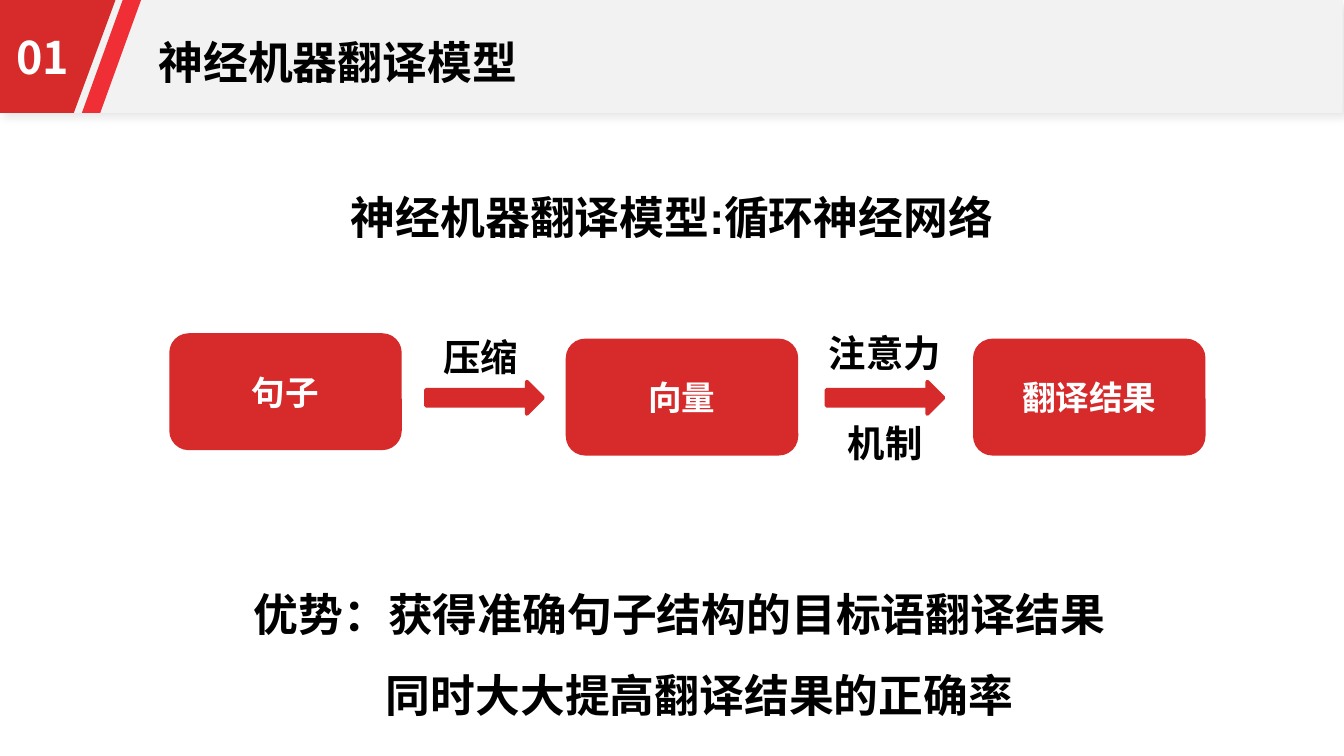
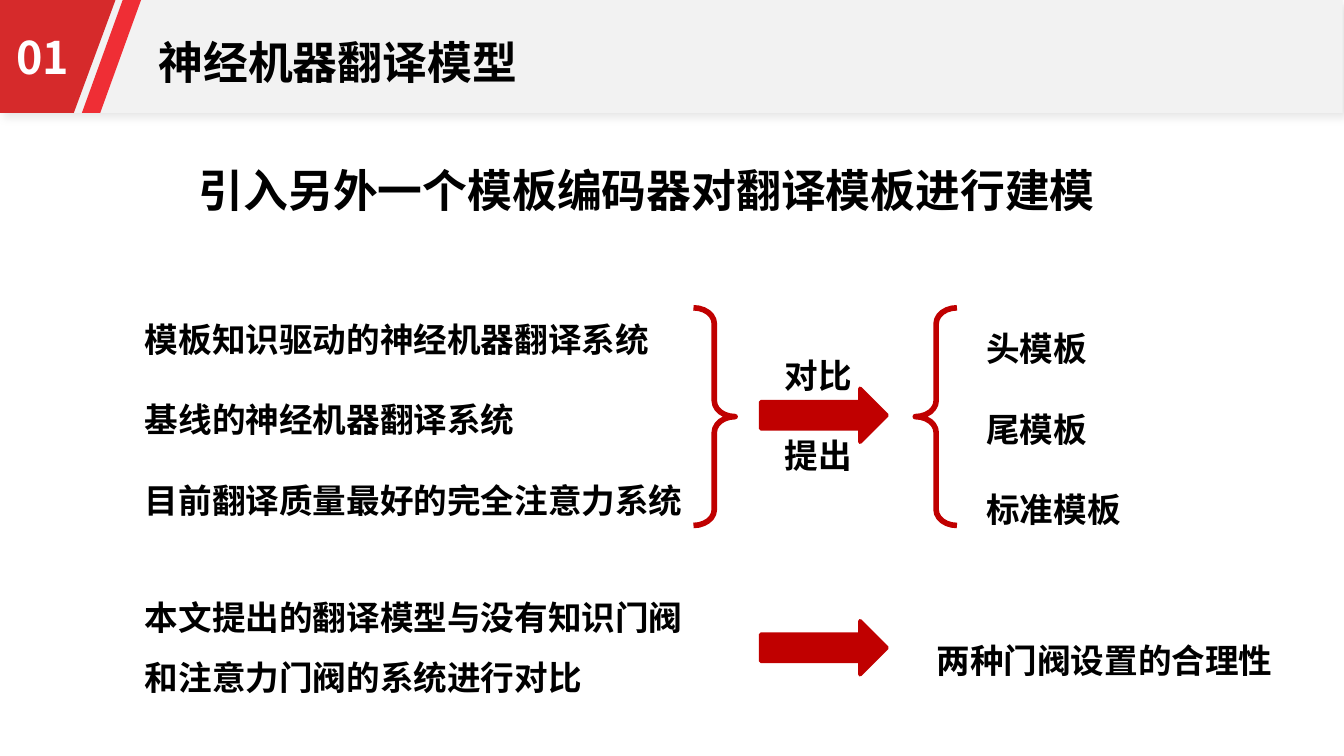
from lxml import etree
from pptx import Presentation
from pptx.dml.color import RGBColor
from pptx.enum.shapes import MSO_SHAPE
from pptx.enum.text import MSO_ANCHOR, MSO_AUTO_SIZE, PP_ALIGN
from pptx.oxml.ns import qn
from pptx.util import Inches, Pt

RECT = MSO_SHAPE.RECTANGLE
ROUND = MSO_SHAPE.ROUNDED_RECTANGLE
SLANT = MSO_SHAPE.PARALLELOGRAM
ARROW = MSO_SHAPE.RIGHT_ARROW
BRACE = MSO_SHAPE.RIGHT_BRACE
LEFT, MID = PP_ALIGN.LEFT, PP_ALIGN.CENTER
TOP, CENTER = MSO_ANCHOR.TOP, MSO_ANCHOR.MIDDLE
NO_FIT = MSO_AUTO_SIZE.NONE

HUE = {"red": "D62A2B", "bright": "EF2E35", "deep": "C00000",
       "band": "F2F2F2", "ink": "000000", "white": "FFFFFF"}
BODY, HEAD = "Arial", "Noto Sans CJK SC"
WIDE = Inches(10)
HIGH = WIDE * 9 // 16
COL = ROW = WIDE // 100
BLANK = 1.2


def rgb(name):
    """Return a palette colour."""
    return RGBColor.from_string(HUE[name])


def place(box, x, y, w, h):
    """Turn columns and rows inside a box into slide lengths."""
    return (round((box[0] + x) * COL), round((box[1] + y) * ROW),
            round(w * COL), round(h * ROW))


def style(frame, size, hue="ink", font=BODY, align=MID, lead=None, gap=0):
    """Format every paragraph and run of a text frame."""
    for i, para in enumerate(frame.paragraphs):
        para.alignment = align
        if lead:
            para.line_spacing = lead
        if gap and i:
            para.space_before = Pt(gap * size)
        for run in para.runs:
            run.font.name, run.font.size = font, Pt(size)
            run.font.bold = True
            run.font.color.rgb = rgb(hue)
            east = etree.SubElement(run.font._element, qn("a:ea"))
            east.set("typeface", HEAD)


def write(slide, at, text, size, **look):
    """Add a wrapped text box."""
    frame = slide.shapes.add_textbox(*at).text_frame
    frame.word_wrap = True
    frame.text = text
    style(frame, size, **look)
    return frame


def paint(shape, fill=None, line=None, width=2):
    """Set fill and outline and drop the shadow."""
    shape.shadow.inherit = False
    if fill:
        shape.fill.solid()
        shape.fill.fore_color.rgb = rgb(fill)
    else:
        shape.fill.background()
    if line:
        shape.line.color.rgb = rgb(line)
        shape.line.width = Pt(width)
    else:
        shape.line.fill.background()
    return shape


def shade(shape):
    """Give a shape a soft drop shadow."""
    fx = shape._element.spPr.find(qn("a:effectLst"))
    drop = etree.SubElement(fx, qn("a:outerShdw"), blurRad=str(Pt(5)),
                            dist=str(Pt(3)), dir="2700000", algn="tl",
                            rotWithShape="0")
    tint = etree.SubElement(drop, qn("a:srgbClr"), val=HUE["ink"])
    etree.SubElement(tint, qn("a:alpha"), val="10000")


def header(slide, box, num, text):
    """Draw the band with its number and title."""
    shapes, tall = slide.shapes, box[3]
    shade(paint(shapes.add_shape(RECT, *place(box, -0.1, 0, box[2], tall)),
                "band"))
    left, top, wide, high = place(box, 0, 0, 8.6, tall)
    edge = shapes.build_freeform(left, top)
    edge.add_line_segments([(left + wide, top),
                            (left + round(5.5 * COL), top + high),
                            (left, top + high)])
    paint(edge.convert_to_shape(), "red")
    slant = shapes.add_shape(SLANT, *place(box, 6.1, 0, 4.4, tall))
    slant.adjustments[0] = 0.69
    paint(slant, "bright")
    title = shapes.title
    title.left, title.top, title.width, title.height = place(
        box, 10.8, 2.1, 28.9, 5)
    frame = title.text_frame
    frame.text = text
    frame.word_wrap, frame.auto_size = False, NO_FIT
    frame.vertical_anchor = TOP
    style(frame, 24, font=HEAD, align=LEFT, lead=1.0)
    shapes._spTree.append(title._element)
    write(slide, place(box, -2.1, 1.7, 10.6, 5), num, 24,
          hue="white", font=HEAD)


def arrow(slide, at, hue):
    """Draw a block arrow."""
    paint(slide.shapes.add_shape(ARROW, *at), hue, hue)


def node(slide, at, text):
    """Draw a rounded box with a label."""
    shape = paint(slide.shapes.add_shape(ROUND, *at), "red")
    frame = shape.text_frame
    frame.text = text
    frame.vertical_anchor = CENTER
    style(frame, 18, hue="white")


def flow(slide, box):
    """Draw the three steps and the two arrows between them."""
    steps = [(0, 0, "句子"), (29.5, 0.4, "向量"), (59.8, 0.4, "翻译结果")]
    for x, y, text in steps:
        node(slide, place(box, x, y, 17.3, 8.7), text)
    for x in (19.1, 48.9):
        arrow(slide, place(box, x, 3.6, 8.7, 2.4), "red")
    write(slide, place(box, 17.7, -0.4, 10.9, 4.4), "压缩", 20)
    write(slide, place(box, 47.8, -0.7, 10.9, 11.1), "注意力\n机制", 20,
          gap=BLANK)


def brace(slide, at, turn=0):
    """Draw a curly brace."""
    shape = slide.shapes.add_shape(BRACE, *at)
    shape.adjustments[0], shape.adjustments[1] = 0.38, 0.5
    shape.rotation = turn
    paint(shape, line="deep", width=3)


def match(slide, box):
    """Draw the compared systems and the resulting templates."""
    write(slide, place(box, 0, 0.3, 44.9, 16.2),
          "模板知识驱动的神经机器翻译系统\n基线的神经机器翻译系统\n"
          "目前翻译质量最好的完全注意力系统", 18, align=LEFT, gap=BLANK)
    write(slide, place(box, 62.6, -2, 13.8, 18.3),
          "头模板\n尾模板\n标准模板", 18, align=LEFT, lead=2.0)
    for x, turn in ((41.8, 0), (58.3, 180)):
        brace(slide, place(box, x, 0, 3.1, 16.2), turn)
    arrow(slide, place(box, 46.8, 6, 9.4, 4), "deep")
    write(slide, place(box, 47.6, 3, 7.9, 10.1), "对比\n提出", 18,
          align=LEFT, gap=BLANK)


def proof(slide, box):
    """Draw the gate comparison and its outcome."""
    write(slide, place(box, 0, 0, 42.5, 9.6),
          "本文提出的翻译模型与没有知识门阀和注意力门阀的系统进行对比",
          18, align=LEFT, lead=1.5)
    arrow(slide, place(box, 46.8, 3.8, 9.4, 4), "deep")
    write(slide, place(box, 58.9, 1.7, 31, 6.1), "两种门阀设置的合理性",
          18, align=LEFT, lead=2.0)


def start(deck):
    """Add a slide with the shared header."""
    slide = deck.slides.add_slide(deck.slide_layouts[5])
    header(slide, (0, 0, 100, 8.4), "01", "神经机器翻译模型")
    return slide


def model(deck):
    """Build the slide on the translation model."""
    slide, page = start(deck), (0, 0)
    write(slide, place(page, 1.2, 13.6, 97.6, 5),
          "神经机器翻译模型:循环神经网络", 24)
    flow(slide, (12.6, 24.8))
    gain = write(slide, place(page, 14.6, 41.2, 71.9, 12.4),
                 "优势：获得准确句子结构的目标语翻译结果\n"
                 "同时大大提高翻译结果的正确率", 24, lead=1.5)
    gain.paragraphs[1]._p.get_or_add_pPr().set("marL", str(Inches(0.3)))


def coder(deck):
    """Build the slide on the template encoder."""
    slide, page = start(deck), (0, 0)
    write(slide, place(page, 13.8, 11.6, 72.4, 5),
          "引入另外一个模板编码器对翻译模板进行建模", 24, align=LEFT)
    match(slide, (9.8, 22.9))
    proof(slide, (9.8, 42.4))


def main():
    """Build and save the deck."""
    deck = Presentation()
    deck.slide_width, deck.slide_height = WIDE, HIGH
    model(deck)
    coder(deck)
    deck.save("out.pptx")


if __name__ == "__main__":
    main()
